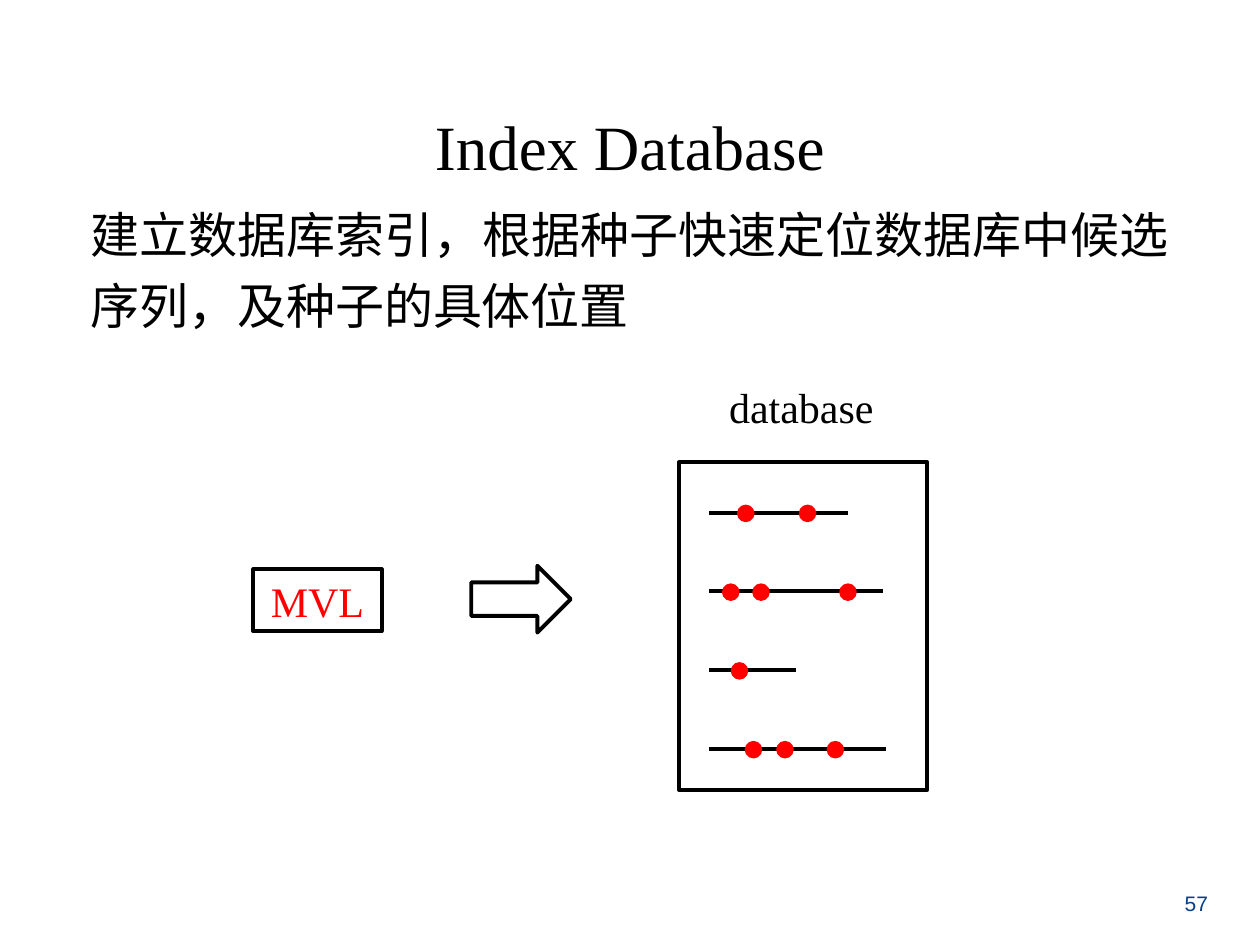
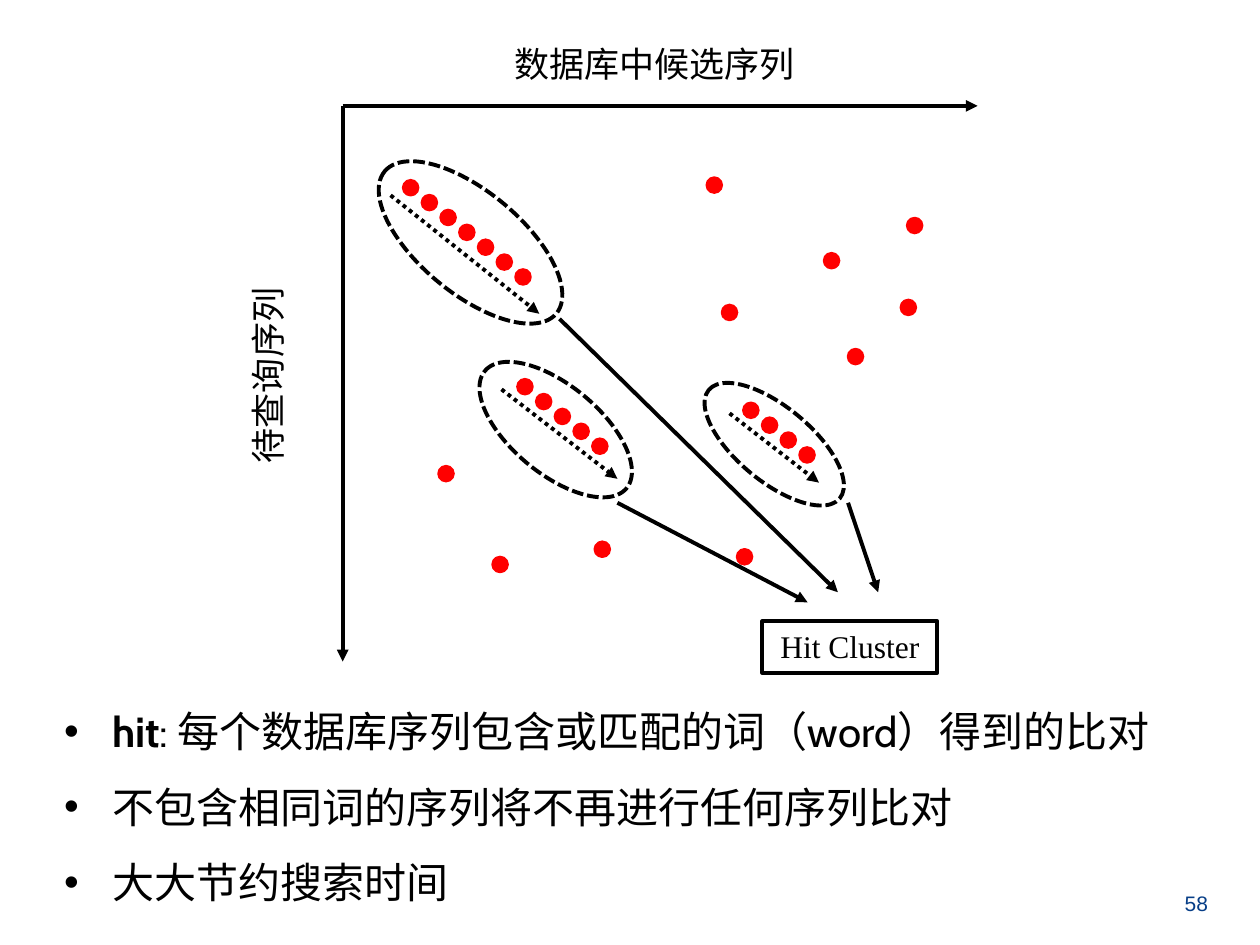
"""Build two slides on indexing a sequence database and clustering hits."""
from dataclasses import dataclass

from lxml import etree
from pptx import Presentation
from pptx.dml.color import RGBColor
from pptx.enum.dml import MSO_LINE
from pptx.enum.shapes import MSO_CONNECTOR, MSO_SHAPE
from pptx.enum.text import MSO_ANCHOR, PP_ALIGN
from pptx.oxml.ns import qn
from pptx.util import Pt

STRAIGHT = MSO_CONNECTOR.STRAIGHT
RECT, OVAL, ARROW = MSO_SHAPE.RECTANGLE, MSO_SHAPE.OVAL, MSO_SHAPE.RIGHT_ARROW
DOTTED, DASHED = MSO_LINE.ROUND_DOT, MSO_LINE.SQUARE_DOT
LEFT, CENTER, JUSTIFY = PP_ALIGN.LEFT, PP_ALIGN.CENTER, PP_ALIGN.JUSTIFY
TOP, MIDDLE = MSO_ANCHOR.TOP, MSO_ANCHOR.MIDDLE


@dataclass(frozen=True)
class Theme:
    """Colours, fonts and sizes shared by the slides."""

    ink: RGBColor = RGBColor(0, 0, 0)
    paper: RGBColor = RGBColor(255, 255, 255)
    hit: RGBColor = RGBColor(255, 0, 0)
    page: RGBColor = RGBColor(0x07, 0x3E, 0x87)
    serif: str = "Times New Roman"
    sans: str = "Arial"
    cjk: str = "Noto Sans CJK SC"
    bullet: str = "Cabin"
    title_size: float = 36
    lead_size: float = 28
    body_size: float = 24
    axis_size: float = 20
    box_size: float = 18
    page_size: float = 12
    stroke: float = 2.25
    dot_stroke: float = 1.25
    dot_size: float = 8.8
    inset: float = 3.6
    tilt: float = 39.6


THEME = Theme()


def add_run(p, text, size=THEME.body_size, font=THEME.serif, color=THEME.ink, bold=False):
    """Append a formatted run to a paragraph."""
    r = p.add_run()
    r.text = text
    r.font.size = Pt(size)
    r.font.bold = bold
    r.font.color.rgb = color
    r.font.name = font
    etree.SubElement(r.font._element, qn("a:ea"), typeface=THEME.cjk)


def format_paragraph(p, align=LEFT, spacing=1.0, before=0):
    """Set alignment and spacing of a paragraph."""
    p.alignment = align
    p.line_spacing = spacing
    p.space_before = Pt(before)


def prepare_frame(s, anchor=TOP, inset=THEME.inset, wrap=True):
    """Set the margins, anchor and wrapping of a shape's text frame."""
    tf = s.text_frame
    tf.word_wrap = wrap
    tf.vertical_anchor = anchor
    tf.margin_left = tf.margin_right = Pt(inset)
    tf.margin_top = tf.margin_bottom = Pt(inset)
    return tf


def add_box(slide, box, anchor=TOP, inset=THEME.inset, wrap=True):
    """Add an empty text box and return its text frame."""
    s = slide.shapes.add_textbox(*map(Pt, box))
    return s, prepare_frame(s, anchor, inset, wrap)


def add_label(slide, box, text, align=LEFT, anchor=TOP, wrap=True, rotation=0, **fmt):
    """Add a text box with one line of text."""
    s, tf = add_box(slide, box, anchor, wrap=wrap)
    s.rotation = rotation
    format_paragraph(tf.paragraphs[0], align)
    add_run(tf.paragraphs[0], text, **fmt)


def add_figure(slide, kind, box, fill=None, line=THEME.ink, width=THEME.stroke, dash=None):
    """Add a preset shape with an outline and an optional fill."""
    s = slide.shapes.add_shape(kind, *map(Pt, box))
    s.shadow.inherit = False
    if fill is None:
        s.fill.background()
    else:
        s.fill.solid()
        s.fill.fore_color.rgb = fill
    s.line.color.rgb = line
    s.line.width = Pt(width)
    if dash:
        s.line.dash_style = dash
    return s


def add_text_frame_box(slide, box, text, **fmt):
    """Add an outlined rectangle with centred text."""
    tf = prepare_frame(add_figure(slide, RECT, box))
    format_paragraph(tf.paragraphs[0], CENTER)
    add_run(tf.paragraphs[0], text, **fmt)


def add_dot(slide, x, y):
    """Add a hit dot centred on a point."""
    d = THEME.dot_size
    add_figure(slide, OVAL, (x - d / 2, y - d / 2, d, d), THEME.hit, THEME.hit, THEME.dot_stroke)


def add_line(slide, start, end, arrow=True, dash=None):
    """Add a straight line, by default with an arrowhead at its end."""
    s = slide.shapes.add_connector(STRAIGHT, *map(Pt, (*start, *end)))
    s.line.color.rgb = THEME.ink
    s.line.width = Pt(THEME.stroke)
    if dash:
        s.line.dash_style = dash
    if arrow:
        etree.SubElement(s.line._get_or_add_ln(), qn("a:tailEnd"), type="triangle")
    etree.SubElement(s._element.spPr, qn("a:effectLst"))


def add_bullets(slide, box, items, indent=27.4):
    """Add a bulleted list whose items are lists of (text, bold) runs."""
    _, tf = add_box(slide, box, inset=0)
    for i, runs in enumerate(items):
        p = tf.add_paragraph() if i else tf.paragraphs[0]
        format_paragraph(p, spacing=1.5)
        pPr = p._p.get_or_add_pPr()
        pPr.set("marL", str(Pt(indent)))
        pPr.set("indent", str(-Pt(indent)))
        etree.SubElement(pPr, qn("a:buFont"), typeface=THEME.sans)
        etree.SubElement(pPr, qn("a:buChar"), char="•")
        for text, bold in runs:
            add_run(p, text, font=THEME.bullet, bold=bold)


def add_cluster(slide, first_dot, count, trend, ellipse):
    """Add a diagonal run of dots with its trend arrow and dashed outline."""
    add_line(slide, *trend, dash=DOTTED)
    x, y = first_dot
    for i in range(count):
        add_dot(slide, x + 10.7 * i, y + 8.5 * i)
    add_figure(slide, OVAL, ellipse, dash=DASHED).rotation = THEME.tilt


def add_slide(prs, number):
    """Add a blank slide with its page number."""
    slide = prs.slides.add_slide(prs.slide_layouts[6])
    add_label(slide, (673.2, 505.4, 20.9, 20.9), str(number), CENTER, MIDDLE, wrap=False,
              size=THEME.page_size, font=THEME.sans, color=THEME.page)
    return slide


def build_index_slide(prs):
    """Show a seed word being located in the database sequences."""
    slide = add_slide(prs, 57)
    _, tf = add_box(slide, (48.2, 49, 623.5, 432.7))
    p = tf.paragraphs[0]
    format_paragraph(p, CENTER, 1.2, 8)
    add_run(p, "Index Database", size=THEME.title_size)
    p = tf.add_paragraph()
    format_paragraph(p, JUSTIFY, 1.2, 6)
    add_run(p, "建立数据库索引，根据种子快速定位数据库中候选序列，及种子的具体位置",
            size=THEME.lead_size, font=THEME.cjk)

    add_text_frame_box(slide, (144.7, 325.4, 73.4, 35.3), "MVL", color=THEME.hit)
    add_figure(slide, ARROW, (269.3, 323.3, 56.9, 38.2), THEME.paper)
    add_label(slide, (411.8, 214.6, 92.2, 33.1), "database", CENTER)
    add_figure(slide, RECT, (388.1, 264.2, 141.8, 187.2), THEME.paper)
    sequences = [
        (484.6, (426.2, 461.5)),
        (504.7, (417.6, 434.9, 484.6)),
        (455, (422.6,)),
        (506.2, (430.6, 448.6, 477.4)),
    ]
    for i, (end, seeds) in enumerate(sequences):
        y = 293 + 45 * i
        add_line(slide, (405.4, y), (end, y), arrow=False)
        for x in seeds:
            add_dot(slide, x, y + 0.4)


def build_cluster_slide(prs):
    """Show hits between query and candidate sequences grouped in clusters."""
    slide = add_slide(prs, 58)
    origin = (195.8, 60.5)
    add_line(slide, origin, (558.7, 60.5))
    add_line(slide, origin, (195.8, 378))
    axis = dict(size=THEME.axis_size, font=THEME.cjk)
    add_label(slide, (290.2, 20.9, 191.5, 31.7), "数据库中候选序列", **axis)
    add_label(slide, (97.9, 193.7, 113.8, 35.3), "待查询序列", rotation=270, **axis)

    clusters = [
        ((234.7, 107.3), 7, ((223.2, 111.6), (308.2, 179.3)), (205.2, 109.4, 127.4, 58.3)),
        ((300, 221), 5, ((286.6, 222.5), (352.8, 273.6)), (265, 220.3, 105.1, 50.4)),
        ((429.1, 234.5), 4, ((416.9, 236.2), (468, 275.8)), (393.8, 232.6, 97.2, 42.5)),
    ]
    for cluster in clusters:
        add_cluster(slide, *cluster)
    lone_hits = [
        (408.2, 105.8), (475.2, 149), (416.9, 178.6), (425.5, 318.2), (522.7, 128.9),
        (285.8, 322.6), (254.9, 270.7), (519.1, 175.7), (344.2, 313.9), (488.9, 203.8),
    ]
    for x, y in lone_hits:
        add_dot(slide, x, y)

    cluster_pointers = [
        ((319.7, 182.2), (478.8, 338.4)),
        ((352.8, 287.3), (461.5, 344.2)),
        ((484.6, 287.3), (501.8, 338.4)),
    ]
    for start, end in cluster_pointers:
        add_line(slide, start, end)
    add_text_frame_box(slide, (435.6, 355, 100.1, 29.5), "Hit Cluster", size=THEME.box_size)
    add_bullets(slide, (36.7, 388.8, 651.6, 131), [
        [("hit", True), (": 每个数据库序列包含或匹配的词（word）得到的比对", False)],
        [("不包含相同词的序列将不再进行任何序列比对", False)],
        [("大大节约搜索时间", False)],
    ])


def main():
    """Build and save the presentation."""
    prs = Presentation()
    prs.slide_width, prs.slide_height = Pt(720), Pt(540)
    build_index_slide(prs)
    build_cluster_slide(prs)
    prs.save("out.pptx")


if __name__ == "__main__":
    main()
